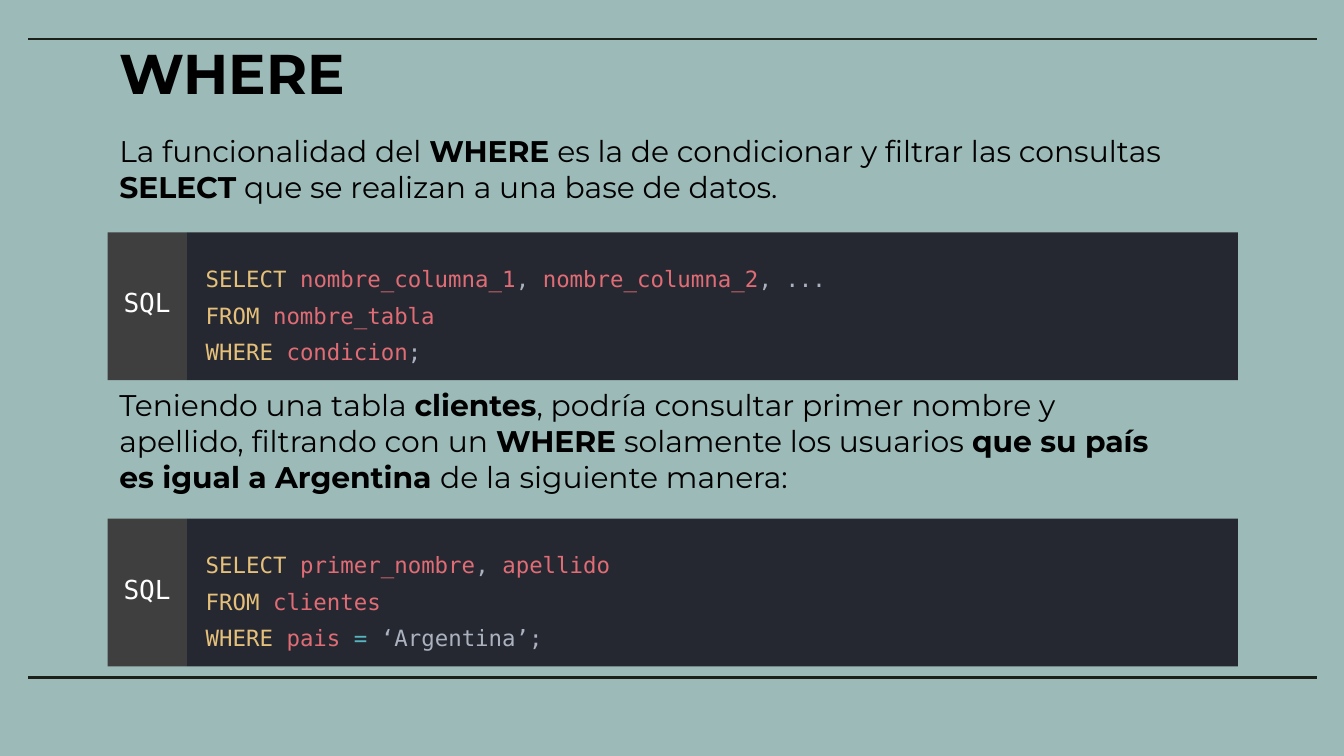
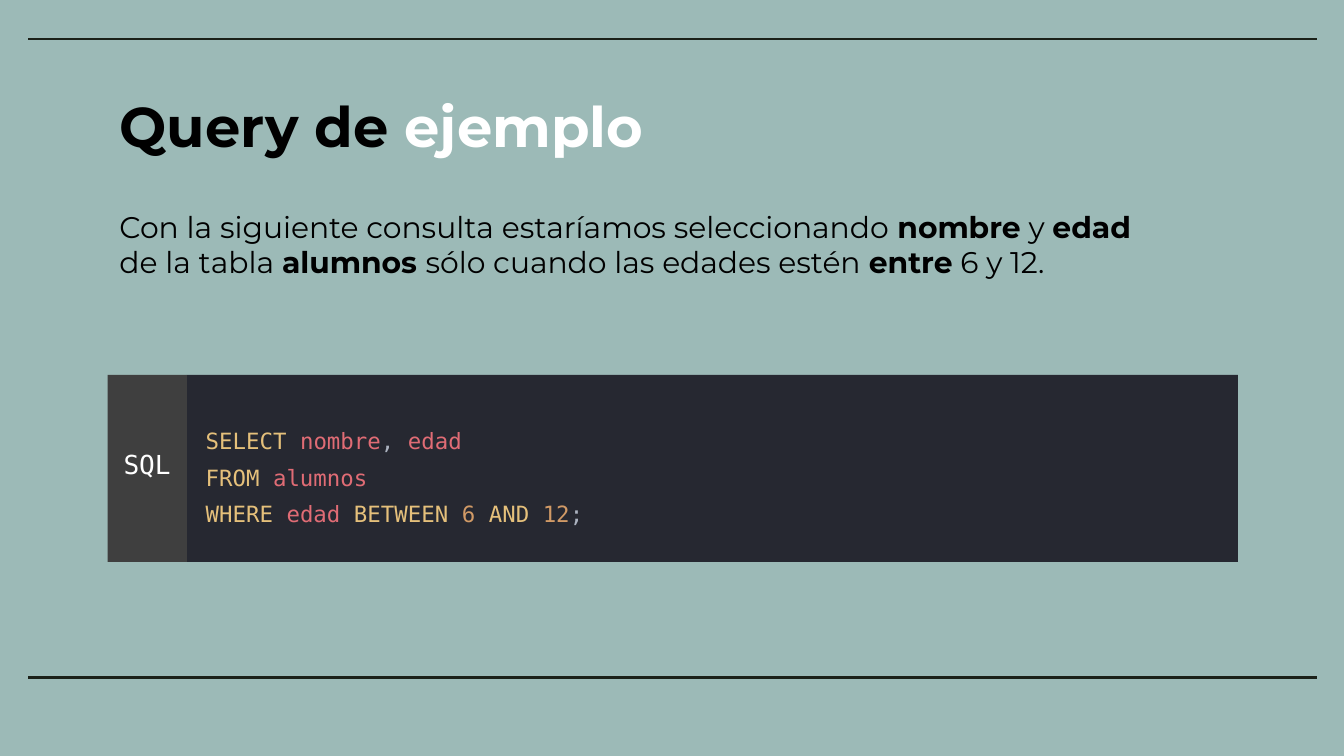
from pptx import Presentation
from pptx.dml.color import RGBColor
from pptx.enum.shapes import MSO_CONNECTOR, MSO_SHAPE
from pptx.enum.text import MSO_ANCHOR, PP_ALIGN
from pptx.oxml.ns import qn
from pptx.util import Inches, Pt
from lxml import etree

STRAIGHT = MSO_CONNECTOR.STRAIGHT
RECTANGLE = MSO_SHAPE.RECTANGLE
TOP, MIDDLE, BOTTOM = MSO_ANCHOR.TOP, MSO_ANCHOR.MIDDLE, MSO_ANCHOR.BOTTOM
LEFT, CENTER = PP_ALIGN.LEFT, PP_ALIGN.CENTER

SAGE = RGBColor(0x9C, 0xBA, 0xB7)
RULE = RGBColor(0x1B, 0x21, 0x19)
BLACK = RGBColor(0x00, 0x00, 0x00)
WHITE = RGBColor(0xFF, 0xFF, 0xFF)
CODE_PANEL = RGBColor(0x26, 0x28, 0x31)
LABEL_PANEL = RGBColor(0x3F, 0x3F, 0x3F)
KEYWORD = RGBColor(0xE5, 0xC0, 0x7B)
NAME = RGBColor(0xE0, 0x6C, 0x75)
PLAIN = RGBColor(0xAB, 0xB2, 0xBF)
OPERATOR = RGBColor(0x56, 0xB6, 0xC2)
NUMBER = RGBColor(0xD1, 0x9A, 0x66)

SANS, MONO = "Montserrat", "DejaVu Sans Mono"
WIDTH, HEIGHT = 10, 5.625
COLUMNS, ROWS = 100, 56.25


def column(count):
    return Inches(WIDTH * count / COLUMNS)


def row(count):
    return Inches(HEIGHT * count / ROWS)


def write(box, lines, font=SANS, size=16, color=BLACK, bold=False, align=LEFT,
          anchor=TOP, spacing=None, insets=(0.1, 0.1, 0.1, 0.1)):
    """Fill a box with lines, each a list of (text, changes) spans."""
    frame = box.text_frame
    frame.word_wrap = True
    frame.vertical_anchor = anchor
    (frame.margin_left, frame.margin_top,
     frame.margin_right, frame.margin_bottom) = map(Inches, insets)
    for index, spans in enumerate(lines):
        para = frame.add_paragraph() if index else frame.paragraphs[0]
        para.alignment = align
        if spacing:
            para.line_spacing = spacing
        for text, changes in spans:
            span = para.add_run()
            span.text = text
            span.font.name = font
            span.font.size = Pt(size)
            span.font.bold = changes.get("bold", bold)
            span.font.color.rgb = changes.get("color", color)


class Deck:
    def __init__(self):
        self.file = Presentation()
        self.file.slide_width = Inches(WIDTH)
        self.file.slide_height = Inches(HEIGHT)
        fill = self.file.slide_master.background.fill
        fill.solid()
        fill.fore_color.rgb = SAGE
        self.page = None

    def start_page(self):
        self.page = self.file.slides.add_slide(self.file.slide_layouts[6])
        for height in (50.4, 2.9):
            self.rule(height)

    def rule(self, height):
        line = self.page.shapes.add_connector(
            STRAIGHT, column(2.1), row(height), column(98), row(height))
        line.line.color.rgb = RULE
        line.line.width = Pt(1.5)
        properties = line.element.find(qn("p:spPr"))
        etree.SubElement(properties, qn("a:effectLst"))

    def text_box(self, top, width, height, spans, **style):
        box = self.page.shapes.add_textbox(
            column(7.9), row(top), column(width), row(height))
        write(box, [spans], **style)

    def title(self, top, *spans):
        self.text_box(top, 84.3, 6.9, spans, size=30, bold=True,
                      anchor=BOTTOM, spacing=0.9)

    def body(self, top, text):
        """Write a paragraph in which ** switches bold on and off."""
        spans = [(part, {"bold": index % 2 == 1})
                 for index, part in enumerate(text.split("**"))]
        self.text_box(top, 80.4, 7.4, spans)

    def panel(self, group, left, top, width, height, fill, lines, **style):
        box = group.shapes.add_shape(
            RECTANGLE, column(left), row(top), column(width), row(height))
        box.shadow.inherit = False
        box.fill.solid()
        box.fill.fore_color.rgb = fill
        box.line.fill.background()
        write(box, lines, font=MONO, anchor=MIDDLE, **style)

    def code(self, top, height, *lines):
        """Draw a code panel; each line is a list of (text, colour) tokens."""
        group = self.page.shapes.add_group_shape()
        colored = [[(text, {"color": color}) for text, color in line]
                   for line in lines]
        self.panel(group, 13.9, top, 78.2, height, CODE_PANEL, colored,
                   size=12, spacing=1.36, insets=(0.14, 0.16, 0.1, 0.1))
        self.panel(group, 8, top, 5.9, height, LABEL_PANEL, [[("SQL", {})]],
                   size=14, color=WHITE, align=CENTER,
                   insets=(0.1, 0.04, 0.1, 0.1))


def where_page(deck):
    deck.start_page()
    deck.title(2, ("WHERE", {}))
    deck.body(8.9, "La funcionalidad del **WHERE** es la de condicionar y "
                   "filtrar las consultas **SELECT** que se realizan a una "
                   "base de datos.")
    deck.code(
        17.3, 11,
        [("SELECT ", KEYWORD), ("nombre_columna_1", NAME), (", ", PLAIN),
         ("nombre_columna_2", NAME), (", ...", PLAIN)],
        [("FROM ", KEYWORD), ("nombre_tabla", NAME)],
        [("WHERE ", KEYWORD), ("condicion", NAME), (";", PLAIN)])
    deck.body(27.8, "Teniendo una tabla **clientes**, podría consultar primer "
                    "nombre y apellido, filtrando con un **WHERE** solamente "
                    "los usuarios **que su país es igual a Argentina **de la "
                    "siguiente manera:")
    deck.code(
        38.6, 11,
        [("SELECT ", KEYWORD), ("primer_nombre", NAME), (", ", PLAIN),
         ("apellido", NAME)],
        [("FROM ", KEYWORD), ("clientes", NAME)],
        [("WHERE ", KEYWORD), ("pais ", NAME), ("=", OPERATOR),
         (" ‘Argentina’;", PLAIN)])


def example_page(deck):
    deck.start_page()
    deck.title(6, ("Query de ", {}), ("ejemplo", {"color": WHITE}))
    deck.body(14.5, "Con la siguiente consulta estaríamos seleccionando "
                    "**nombre** y **edad** de la tabla **alumnos **sólo "
                    "cuando las edades estén **entre** 6 y 12.")
    deck.code(
        27.9, 13.9,
        [("SELECT ", KEYWORD), ("nombre", NAME), (", ", PLAIN),
         ("edad", NAME)],
        [("FROM ", KEYWORD), ("alumnos", NAME)],
        [("WHERE ", KEYWORD), ("edad ", NAME), ("BETWEEN ", KEYWORD),
         ("6 ", NUMBER), ("AND ", KEYWORD), ("12", NUMBER), (";", PLAIN)])


def main():
    deck = Deck()
    where_page(deck)
    example_page(deck)
    deck.file.save("out.pptx")


if __name__ == "__main__":
    main()
